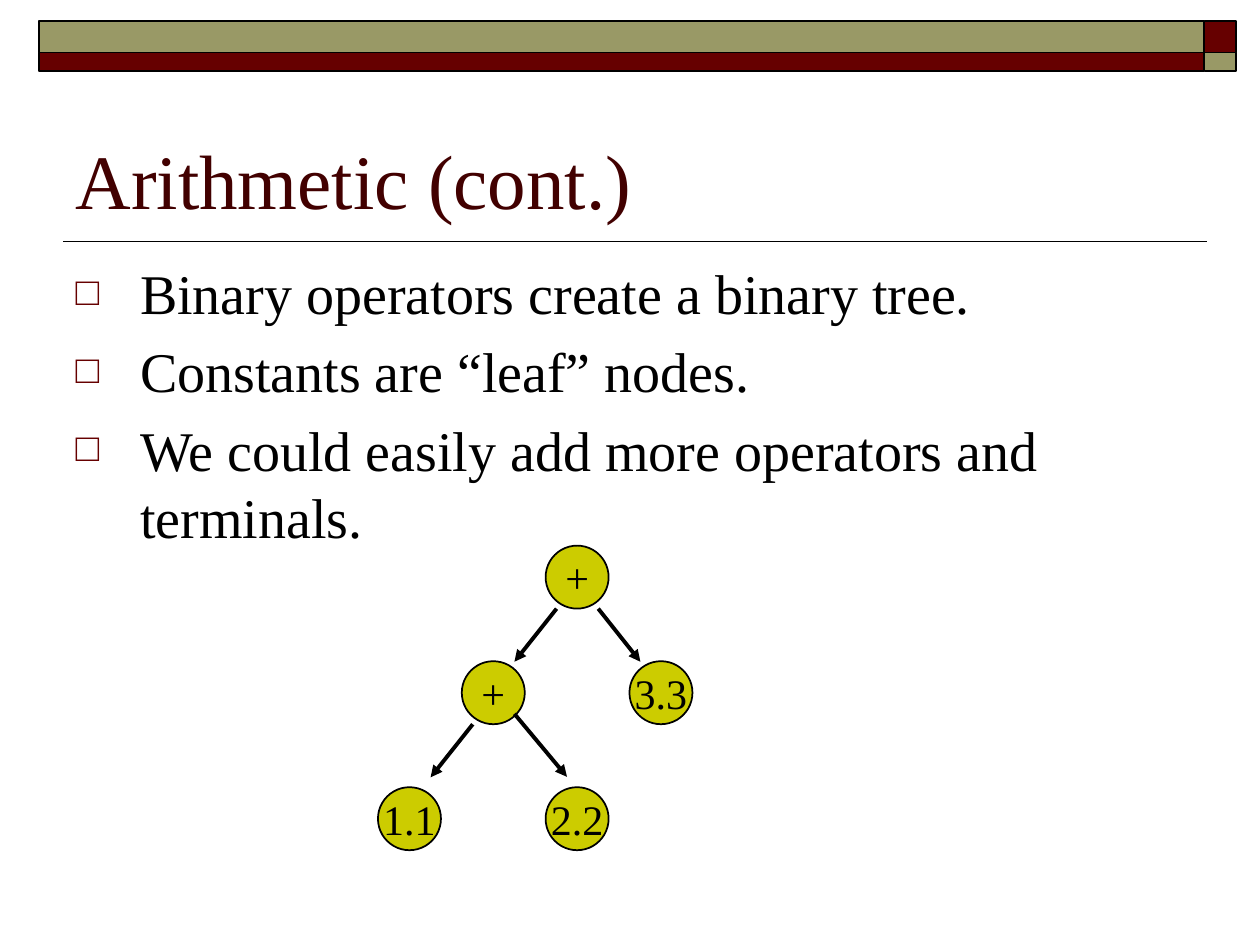
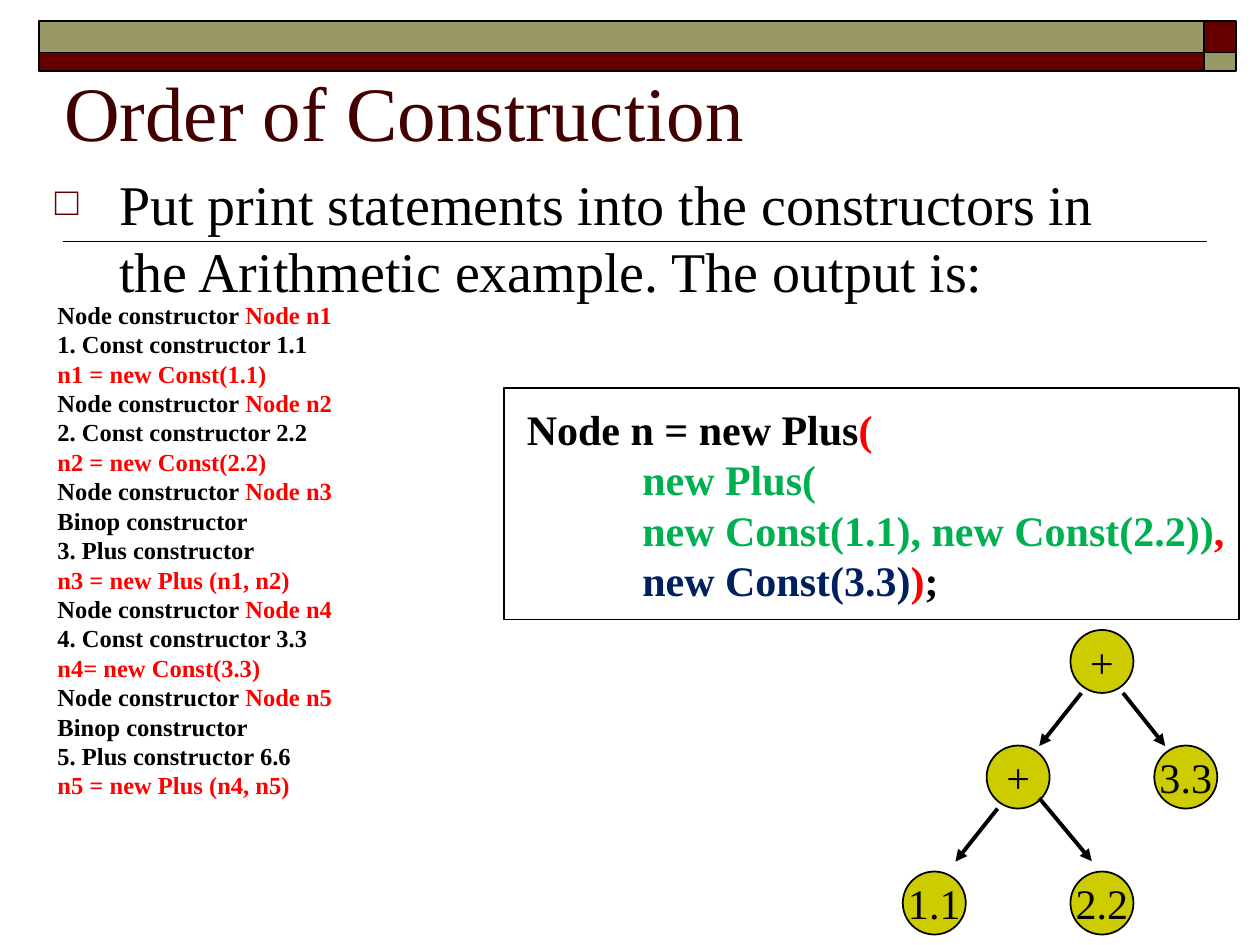
import lxml.etree
import pptx
import pptx.dml.color
import pptx.enum.shapes
import pptx.enum.text
import pptx.oxml
import pptx.oxml.ns
import pptx.util

Cm = pptx.util.Cm
Pt = pptx.util.Pt
SHAPES = pptx.enum.shapes.MSO_SHAPE
ANCHORS = pptx.enum.text.MSO_ANCHOR
ALIGNMENTS = pptx.enum.text.PP_ALIGN

COLORS = {
    "black": "000000",
    "maroon": "660000",
    "olive": "999966",
    "title": "420000",
    "node": "CCCC00",
    "red": "FF0000",
    "green": "00B050",
    "navy": "002060",
}
FONT = "Times New Roman"

NODE_SIZE = 1.27
TREE_COLUMN = 1.69
TREE_ROWS = (0, 2.33, 4.87)
# Label, column and row of each node
TREE_NODES = [("+", 2, 0), ("+", 1, 1), ("2.2", 2, 2), ("1.1", 0, 2), ("3.3", 3, 1)]
# Parent column and row, start within the parent, reach of the arrow
TREE_ARROWS = [
    (2, 0, (0.22, 1.27), (-0.85, 1.07)),
    (1, 1, (0.22, 1.27), (-0.85, 1.07)),
    (1, 1, (1.06, 1.06), (1.06, 1.27)),
    (2, 0, (1.06, 1.27), (0.85, 1.07)),
]

CONSTRUCTION_STEPS = [
    ("Const constructor 1.1", "n1 = new Const(1.1)"),
    ("Const constructor 2.2", "n2 = new Const(2.2)"),
    ("Plus constructor", "n3 = new Plus (n1, n2)"),
    ("Const constructor 3.3", "n4= new Const(3.3)"),
    ("Plus constructor 6.6", "n5 = new Plus (n4, n5)"),
]
# Indent and coloured parts of each line
CODE_LINES = [
    (0.21, [("Node n = new Plus", "black"), ("(", "red")]),
    (2.54, [("new Plus(", "green")]),
    (2.54, [("new Const(1.1), new Const(2.2))", "green"), (",", "red")]),
    (2.54, [("new Const(3.3)", "navy"), (")", "red"), (";", "black")]),
]


def rgb(color):
    return pptx.dml.color.RGBColor.from_string(COLORS[color])


def place(shape, box):
    shape.left, shape.top, shape.width, shape.height = map(Cm, box)


def format_font(font, size, color=None, bold=False):
    font.name = FONT
    font.size = Pt(size)
    font.bold = bold
    if color:
        font.color.rgb = rgb(color)


def add_outlined_shape(slide, kind, box, fill=None):
    shape = slide.shapes.add_shape(kind, *map(Cm, box))
    shape.shadow.inherit = False
    if fill:
        shape.fill.solid()
        shape.fill.fore_color.rgb = rgb(fill)
    else:
        shape.fill.background()
    shape.line.color.rgb = rgb("black")
    shape.line.width = Pt(1)
    return shape


def add_line(slide, start, end, width, arrow=False):
    line = slide.shapes.add_connector(
        pptx.enum.shapes.MSO_CONNECTOR.STRAIGHT, *map(Cm, start + end))
    line.line.color.rgb = rgb("black")
    line.line.width = Pt(width)
    if arrow:
        lxml.etree.SubElement(
            line.line._get_or_add_ln(), pptx.oxml.ns.qn("a:tailEnd"), type="triangle")
    lxml.etree.SubElement(line._element.spPr, pptx.oxml.ns.qn("a:effectLst"))


def add_bands(slide, left, top):
    """Draw the two-tone header, whose end squares swap the colours."""
    long, end, upper, lower = 23.5, 0.64, 0.64, 0.38
    for x, y, width, height, color in (
        (0, 0, long, upper, "olive"),
        (long, 0, end, upper, "maroon"),
        (0, upper, long, lower, "maroon"),
        (long, upper, end, lower, "olive"),
    ):
        add_outlined_shape(
            slide, SHAPES.RECTANGLE, (left + x, top + y, width, height), color)


def add_bullet(paragraph):
    properties = paragraph._p.get_or_add_pPr()
    properties.set("marL", str(Cm(1.3)))
    properties.set("indent", str(Cm(-1.3)))
    for markup in (
        f'<a:buClr %s><a:srgbClr val="{COLORS["maroon"]}"/></a:buClr>',
        '<a:buSzPct %s val="70000"/>',
        f'<a:buFont %s typeface="{FONT}"/>',
        '<a:buChar %s char="□"/>',
    ):
        properties.append(pptx.oxml.parse_xml(markup % pptx.oxml.ns.nsdecls("a")))


def fill_title(slide, text, box):
    title = slide.shapes.title
    place(title, box)
    frame = title.text_frame
    frame.text = text
    frame.vertical_anchor = ANCHORS.BOTTOM
    frame.auto_size = pptx.enum.text.MSO_AUTO_SIZE.NONE
    paragraph = frame.paragraphs[0]
    paragraph.alignment = ALIGNMENTS.LEFT
    format_font(paragraph.font, 44, "title")


def fill_body(slide, items, box):
    body = slide.placeholders[1]
    place(body, box)
    frame = body.text_frame
    frame.text = "\n".join(items)
    frame.auto_size = pptx.enum.text.MSO_AUTO_SIZE.NONE
    for paragraph in frame.paragraphs:
        add_bullet(paragraph)
        paragraph.space_before = Pt(6.4)
        format_font(paragraph.font, 32, "black")


def add_base_slide(presentation, title, title_box, items, body_box):
    slide = presentation.slides.add_slide(presentation.slide_layouts[1])
    add_line(slide, (24.33, 4.87), (1.27, 4.87), 1)
    add_bands(slide, 0.78, 0.42)
    fill_title(slide, title, title_box)
    fill_body(slide, items, body_box)
    return slide


def add_tree(slide, left, top):
    def corner(column, row):
        return left + column * TREE_COLUMN, top + TREE_ROWS[row]

    for label, column, row in TREE_NODES:
        node = add_outlined_shape(
            slide, SHAPES.OVAL, (*corner(column, row), NODE_SIZE, NODE_SIZE), "node")
        frame = node.text_frame
        frame.text = label
        frame.word_wrap = False
        frame.vertical_anchor = ANCHORS.MIDDLE
        paragraph = frame.paragraphs[0]
        paragraph.alignment = ALIGNMENTS.CENTER
        format_font(paragraph.font, 24, "black")
    for column, row, offset, reach in TREE_ARROWS:
        x, y = corner(column, row)
        start = (x + offset[0], y + offset[1])
        add_line(slide, start, (start[0] + reach[0], start[1] + reach[1]), 2.25, arrow=True)


def add_colored_lines(slide, lines, box, size, wrap):
    """Add bold text from (indent, [(text, color), ...]) lines."""
    frame = slide.shapes.add_textbox(*map(Cm, box)).text_frame
    frame.word_wrap = wrap
    for index, (indent, parts) in enumerate(lines):
        paragraph = frame.add_paragraph() if index else frame.paragraphs[0]
        paragraph._p.get_or_add_pPr().set("marL", str(Cm(indent)))
        format_font(paragraph.font, size, bold=True)
        for text, color in parts:
            run = paragraph.add_run()
            run.text = text
            run.font.color.rgb = rgb(color)


def construction_log():
    lines = []
    for number, (constructor, statement) in enumerate(CONSTRUCTION_STEPS, 1):
        lines.append([("Node constructor ", "black"), (f"Node n{number}", "red")])
        if constructor.startswith("Plus"):
            lines.append([("Binop constructor", "black")])
        lines.append([(f"{number}. {constructor}", "black")])
        lines.append([(statement, "red")])
    return [(0, parts) for parts in lines]


def add_code_panel(slide, left, top):
    add_colored_lines(slide, CODE_LINES, (left, top + 0.18, 14.94, 5.38), 24, wrap=False)
    add_outlined_shape(slide, SHAPES.RECTANGLE, (left, top, 14.82, 4.66))


def add_arithmetic_slide(presentation):
    slide = add_base_slide(
        presentation,
        "Arithmetic (cont.)", (1.27, 1.48, 22.86, 3.18),
        ["Binary operators create a binary tree.",
         "Constants are “leaf” nodes.",
         "We could easily add more operators and terminals."],
        (1.27, 5.08, 22.86, 11.94))
    add_tree(slide, 7.62, 11)


def add_construction_slide(presentation):
    slide = add_base_slide(
        presentation,
        "Order of Construction", (1.04, 0.11, 22.86, 3.18),
        ["Put print statements into the constructors in the Arithmetic example. "
         "The output is:"],
        (0.85, 3.28, 22.86, 11.94))
    add_colored_lines(slide, construction_log(), (0.91, 5.92, 8.81, 12.47), 14, wrap=True)
    add_tree(slide, 18.2, 12.7)
    add_code_panel(slide, 10.16, 7.83)


def main():
    presentation = pptx.Presentation()
    presentation.slide_width = Cm(25.4)
    presentation.slide_height = Cm(19.05)
    add_arithmetic_slide(presentation)
    add_construction_slide(presentation)
    presentation.save("out.pptx")


if __name__ == "__main__":
    main()
